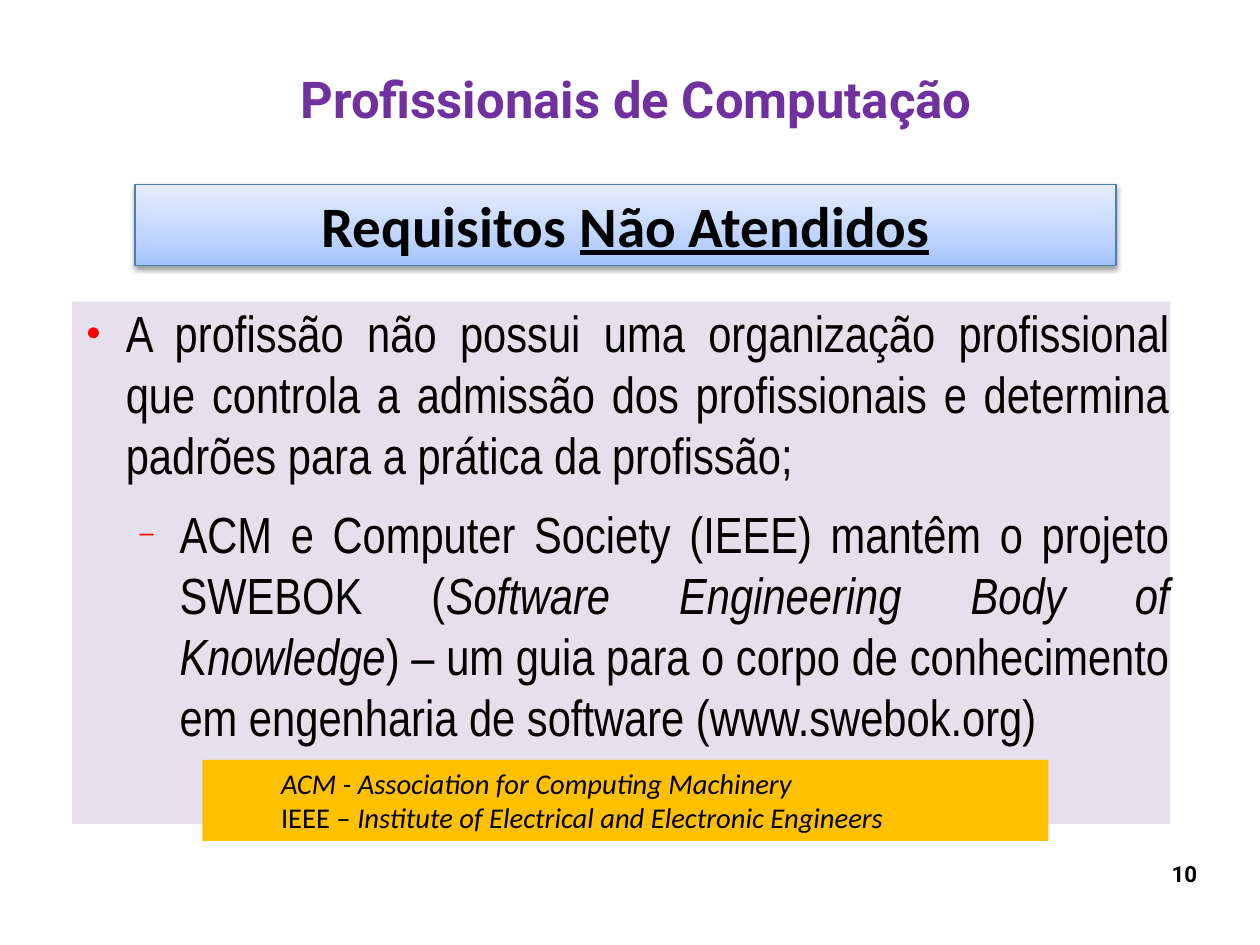
from dataclasses import dataclass

from lxml.etree import SubElement
from pptx import Presentation
from pptx.dml.color import RGBColor
from pptx.enum.shapes import MSO_SHAPE
from pptx.enum.text import MSO_ANCHOR, MSO_AUTO_SIZE, PP_ALIGN
from pptx.oxml import parse_xml
from pptx.oxml.ns import nsdecls, qn
from pptx.util import Cm, Emu, Inches, Pt

WIDTH, HEIGHT = Cm(28), Cm(21)
BLACK, PURPLE, RED = "000000", "7030A0", "FF0000"
LILAC, AMBER, BLUE = "E6E0EC", "FFC000", "4B7EBC"
BANNER_STOPS = [(0, "A4C4FF"), (35, "BFD4FF"), (100, "E6EEFF")]


@dataclass
class Area:
    """Place and size in percent of the slide's width and height."""
    left: float
    top: float
    width: float
    height: float


@dataclass
class Style:
    font: str
    size: float
    color: str = BLACK
    bold: bool = False


@dataclass
class Run:
    text: str
    italic: bool = False
    underline: bool = False


@dataclass
class Para:
    runs: list[Run]
    align: PP_ALIGN = PP_ALIGN.LEFT
    level: int = 0
    margin: float = 0
    indent: float = 0
    before: float = 0
    bullet: str = ""


def rgb(color: str) -> RGBColor:
    return RGBColor.from_string(color)


def place(sp, area: Area) -> None:
    sp.left, sp.width = (Emu(int(WIDTH * v / 100)) for v in (area.left, area.width))
    sp.top, sp.height = (Emu(int(HEIGHT * v / 100)) for v in (area.top, area.height))


def add_bullet(p, char: str) -> None:
    pPr = p._p.get_or_add_pPr()
    SubElement(SubElement(pPr, qn("a:buClr")), qn("a:srgbClr"), val=RED)
    SubElement(pPr, qn("a:buSzPct"), val="50000")
    SubElement(pPr, qn("a:buChar"), char=char)


def write(sp, paras: list[Para], style: Style, anchor: MSO_ANCHOR = MSO_ANCHOR.TOP,
          inset: bool = False) -> None:
    """Fill a shape with text; inset keeps the standard margins and grows the shape."""
    tf = sp.text_frame
    tf.word_wrap = True
    tf.vertical_anchor = anchor
    tf.auto_size = MSO_AUTO_SIZE.SHAPE_TO_FIT_TEXT if inset else MSO_AUTO_SIZE.NONE
    if not inset:
        tf.margin_left = tf.margin_right = tf.margin_top = tf.margin_bottom = 0
    for i, para in enumerate(paras):
        p = tf.add_paragraph() if i else tf.paragraphs[0]
        if para.bullet:
            add_bullet(p, para.bullet)
        p.level, p.alignment = para.level, para.align
        p.space_before = Pt(para.before)
        pPr = p._p.get_or_add_pPr()
        pPr.set("marL", str(Inches(para.margin)))
        pPr.set("indent", str(Inches(para.indent)))
        for run in para.runs:
            r = p.add_run()
            r.text = run.text
            f = r.font
            f.name, f.size, f.bold = style.font, Pt(style.size), style.bold
            f.italic, f.underline = run.italic, run.underline
            f.color.rgb = rgb(style.color)


def add_box(slide, area: Area, fill: str):
    sp = slide.shapes.add_shape(MSO_SHAPE.RECTANGLE, 0, 0, 0, 0)
    place(sp, area)
    sp.shadow.inherit = False
    sp.fill.solid()
    sp.fill.fore_color.rgb = rgb(fill)
    sp.line.fill.background()
    return sp


def decorate_banner(sp) -> None:
    """Give the banner its outline, upward gradient and soft shadow."""
    sp.line.color.rgb = rgb(BLUE)
    sp.line.width = Pt(0.75)
    stops = "".join(f'<a:gs pos="{pos * 1000}"><a:srgbClr val="{color}"/></a:gs>'
                    for pos, color in BANNER_STOPS)
    spPr = sp._element.spPr
    spPr.replace(spPr.find(qn("a:solidFill")), parse_xml(
        f'<a:gradFill {nsdecls("a")} rotWithShape="1"><a:gsLst>{stops}</a:gsLst>'
        '<a:lin ang="16200000" scaled="0"/></a:gradFill>'))
    spPr.find(qn("a:effectLst")).append(parse_xml(
        f'<a:outerShdw {nsdecls("a")} blurRad="{Pt(3.1)}" dist="{Pt(1.6)}" dir="5400000" '
        'rotWithShape="0"><a:srgbClr val="000000"><a:alpha val="38000"/></a:srgbClr>'
        '</a:outerShdw>'))


def main() -> None:
    prs = Presentation()
    prs.slide_width, prs.slide_height = WIDTH, HEIGHT
    slide = prs.slides.add_slide(prs.slide_layouts[1])

    title = slide.shapes.title
    place(title, Area(4.99, 3.99, 89.99, 12.7))
    write(title, [Para([Run("Profissionais de Computação")], PP_ALIGN.CENTER, margin=0.12)],
          Style("Roboto", 32, PURPLE, True), MSO_ANCHOR.MIDDLE)

    body = slide.placeholders[1]
    place(body, Area(5.72, 31.92, 87.18, 55.26))
    body.fill.solid()
    body.fill.fore_color.rgb = rgb(LILAC)
    write(body, [
        Para([Run("A profissão não possui uma organização profissional que controla a "
                  "admissão dos profissionais e determina padrões para a prática da "
                  "profissão;")],
             PP_ALIGN.JUSTIFY, margin=0.47, indent=-0.35, bullet="●"),
        Para([Run("ACM e Computer Society (IEEE) mantêm o projeto SWEBOK ("),
              Run("Software Engineering Body of Knowledge", italic=True),
              Run(") – um guia para o corpo de conhecimento em engenharia de software "
                  "(www.swebok.org)")],
             PP_ALIGN.JUSTIFY, 1, 0.94, -0.35, 11.3, "–"),
    ], Style("Arial Narrow", 32))

    number = slide.shapes.add_textbox(0, 0, 0, 0)
    place(number, Area(71.69, 91.05, 23.32, 6.89))
    write(number, [Para([Run("10")], PP_ALIGN.RIGHT)], Style("Roboto", 14, bold=True))

    banner = add_box(slide, Area(10.71, 19.5, 77.86, 8.59), BLUE)
    decorate_banner(banner)
    write(banner, [Para([Run("Requisitos "), Run("Não Atendidos", underline=True)],
                        PP_ALIGN.CENTER)],
          Style("Calibri", 36, bold=True), inset=True)

    note = add_box(slide, Area(16.06, 80.41, 67.15, 8.59), AMBER)
    write(note, [
        Para([Run("ACM - Association for Computing Machinery", italic=True)],
             level=1, margin=0.59),
        Para([Run("IEEE – "),
              Run("Institute of Electrical and Electronic Engineers", italic=True)],
             level=1, margin=0.59),
    ], Style("Calibri", 18), inset=True)

    prs.save("out.pptx")


if __name__ == "__main__":
    main()
